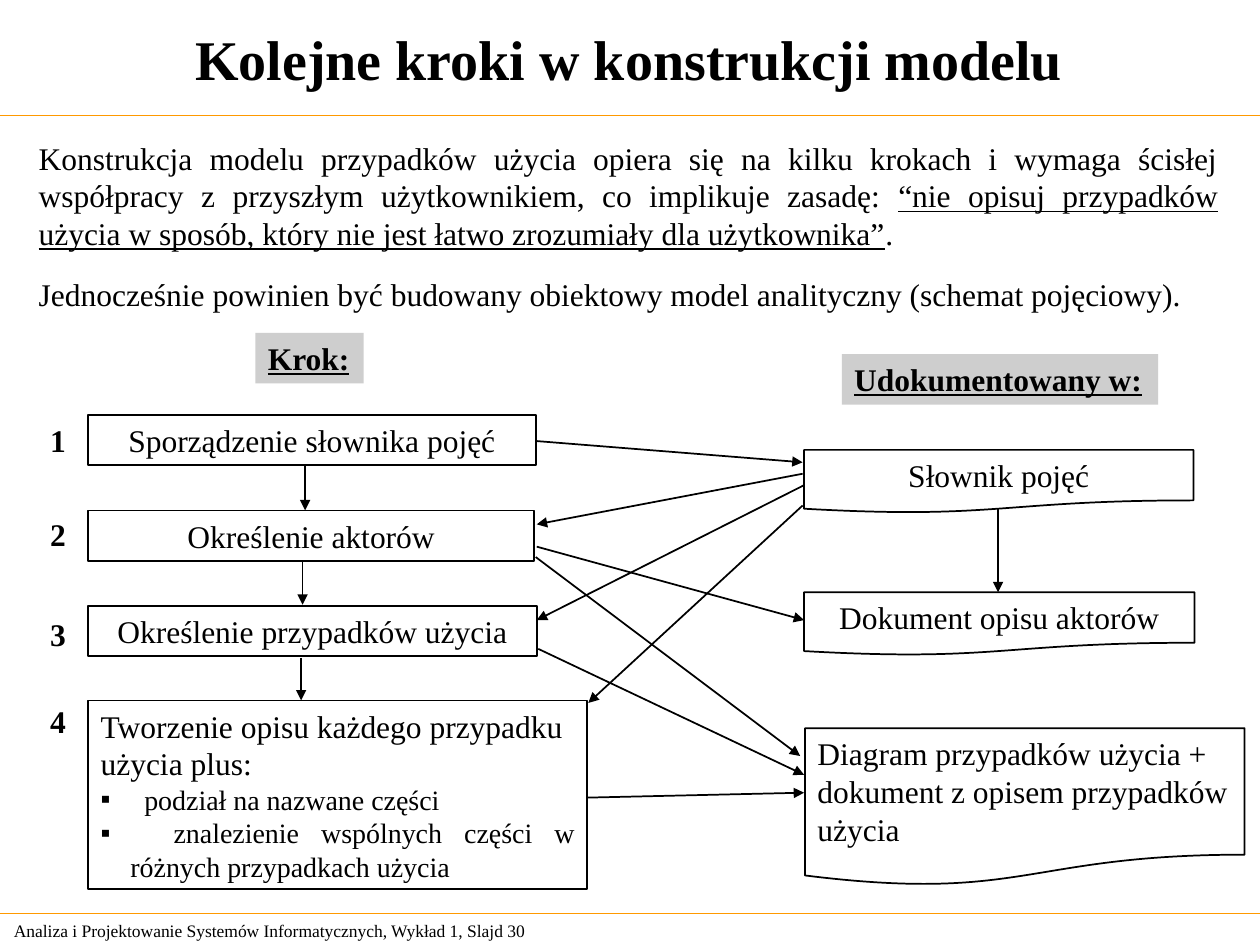
from lxml import etree
from pptx import Presentation
from pptx import util as u
from pptx.dml.color import RGBColor
from pptx.enum import shapes, text
from pptx.oxml.ns import qn

FONT = "Times New Roman"
BLACK, GREY, ORANGE = "000000", "CECECE", "FF9900"
LEFT, MID, JUST = text.PP_ALIGN.LEFT, text.PP_ALIGN.CENTER, text.PP_ALIGN.JUSTIFY
RECT, DOC = shapes.MSO_SHAPE.RECTANGLE, shapes.MSO_SHAPE.FLOWCHART_DOCUMENT
BOLD, HEAD = {"bold": True}, {"bold": True, "underline": True}

# Content: lengths in cm
TITLE = "Kolejne kroki w konstrukcji modelu"
FOOT = "Analiza i Projektowanie Systemów Informatycznych, Wykład 1, Slajd 30"
INTRO = [
    ("Konstrukcja modelu przypadków użycia opiera się na kilku krokach i wymaga ścisłej "
     "współpracy z przyszłym użytkownikiem, co implikuje zasadę: ", {}),
    ("“nie opisuj przypadków użycia w sposób, który nie jest łatwo zrozumiały dla "
     "użytkownika”", {"underline": True}),
    (".", {}),
]
NOTE = "Jednocześnie powinien być budowany obiektowy model analityczny (schemat pojęciowy)."
HEADS = [("Krok:", (5.15, 6.71, 2.18, 1.02)),
         ("Udokumentowany w:", (16.97, 7.14, 6.38, 1.02))]
BOXES = [
    (RECT, "Sporządzenie słownika pojęć", (1.78, 8.36, 9.02, 1.02)),
    (RECT, "Określenie aktorów", (1.78, 10.29, 8.99, 1.02)),
    (RECT, "Określenie przypadków użycia", (1.78, 12.21, 9.04, 1.02)),
    (DOC, "Słownik pojęć", (16.21, 9.07, 7.85, 1.27)),
    (DOC, "Dokument opisu aktorów", (16.21, 11.94, 7.87, 1.27)),
]
PLAN = ["Tworzenie opisu każdego przypadku", "użycia plus:"]
# Bullet text, alignment, left margin, tab stop
ITEMS = [("podział na nazwane części", LEFT, 0.88, None),
         ("\tznalezienie wspólnych części w różnych przypadkach użycia", JUST, 0.6, 1.47)]
RESULT = ["Diagram przypadków użycia +", "dokument z opisem przypadków", "użycia"]
STEPS = [8.36, 10.26, 12.27, 14.02]
ARROWS = [
    # step to step
    (6.15, 9.4, 6.15, 10.29), (6.1, 11.33, 6.1, 12.19), (6.07, 13.26, 6.07, 14.12),
    # steps to documents
    (10.8, 8.89, 16.18, 9.32), (10.82, 11.02, 16.21, 12.5), (11.84, 16.08, 16.21, 15.98),
    (10.8, 11.23, 16.13, 15.24), (10.85, 13.08, 16.21, 15.62),
    # glossary to steps and actors
    (16.18, 9.55, 10.82, 10.57), (16.21, 9.78, 10.82, 12.5),
    (16.18, 10.19, 11.86, 14.17), (20.12, 10.24, 20.12, 11.94),
]


def hue(code):
    return RGBColor.from_string(code)


def setall(obj, vals):
    for key, val in vals.items():
        setattr(obj, key, val)


def place(shp, at):
    setall(shp, dict(zip(("left", "top", "width", "height"), map(u.Cm, at))))


def write(par, runs, size=18, align=LEFT, **kind):
    par.alignment = align
    for words, extra in [(runs, {})] if isinstance(runs, str) else runs:
        run = par.add_run()
        run.text = words
        setall(run.font, {"name": FONT, "size": u.Pt(size), **kind, **extra})
        run.font.color.rgb = hue(BLACK)


def fill(shp, pars, wrap=True, **kind):
    frame = shp.text_frame
    setall(frame, {"word_wrap": wrap, "vertical_anchor": text.MSO_ANCHOR.TOP,
                   "auto_size": text.MSO_AUTO_SIZE.SHAPE_TO_FIT_TEXT})
    for num, runs in enumerate(pars):
        par = frame.add_paragraph() if num else frame.paragraphs[0]
        write(par, runs, **kind)
    return frame


def label(at, runs, **kind):
    return fill(slide.shapes.add_textbox(*map(u.Cm, at)), [runs], **kind)


def box(form, at, pars, back=None, edge=BLACK, **kind):
    shp = slide.shapes.add_shape(form, *map(u.Cm, at))
    shp.shadow.inherit = False
    if back:
        shp.fill.solid()
        shp.fill.fore_color.rgb = hue(back)
    else:
        shp.fill.background()
    if edge:
        shp.line.color.rgb = hue(edge)
        shp.line.width = u.Pt(1)
    else:
        shp.line.fill.background()
    return fill(shp, pars, **kind)


def item(frame, words, align, margin, stop):
    par = frame.add_paragraph()
    props = par._p.get_or_add_pPr()
    props.set("marL", str(u.Cm(margin)))
    props.set("indent", str(-u.Cm(margin)))
    etree.SubElement(props, qn("a:buFont"), typeface="Arial")
    etree.SubElement(props, qn("a:buChar"), char="▪")
    if stop:
        tabs = etree.SubElement(props, qn("a:tabLst"))
        etree.SubElement(tabs, qn("a:tab"), pos=str(u.Cm(stop)), algn="l")
    write(par, words, 16, align)


def line(ends, color=BLACK, width=1, arrow=True):
    link = slide.shapes.add_connector(shapes.MSO_CONNECTOR.STRAIGHT, *map(u.Cm, ends))
    link.line.color.rgb = hue(color)
    link.line.width = u.Pt(width)
    if arrow:
        etree.SubElement(link.line._get_or_add_ln(), qn("a:tailEnd"), type="triangle")
    etree.SubElement(link._element.spPr, qn("a:effectLst"))


deck = Presentation()
deck.slide_width, deck.slide_height = u.Cm(25.4), u.Cm(19.05)
slide = deck.slides.add_slide(deck.slide_layouts[5])

# Footer, rules and title
label((0.03, 18.42, 12.07, 0.69), FOOT, size=10)
for y in (2.33, 18.41):
    line((0, y, 25.4, y), ORANGE, 0.75, arrow=False)
title = slide.shapes.title
place(title, (0, 0, 25.37, 2.34))
fill(title, [TITLE], size=32, align=MID, **BOLD)
setall(title.text_frame, {"vertical_anchor": text.MSO_ANCHOR.MIDDLE,
                          "auto_size": text.MSO_AUTO_SIZE.NONE})

# Introduction
label((0.53, 2.67, 24.28, 2.54), INTRO, align=JUST)
label((0.53, 5.41, 23.55, 1.02), NOTE, wrap=False)

# Headings, steps and documents
for words, at in HEADS:
    box(RECT, at, [words], GREY, None, wrap=False, **HEAD)
for form, words, at in BOXES:
    box(form, at, [words], align=MID)
plan = box(RECT, (1.78, 14.12, 10.06, 3.81), PLAN)
for row in ITEMS:
    item(plan, *row)
box(DOC, (16.23, 14.68, 8.86, 3.18), RESULT, wrap=False)

# Step numbers and arrows
for num, y in enumerate(STEPS, 1):
    label((0.76, y, 0.81, 1.02), str(num), wrap=False, **BOLD)
for ends in ARROWS:
    line(ends)

deck.save("out.pptx")
